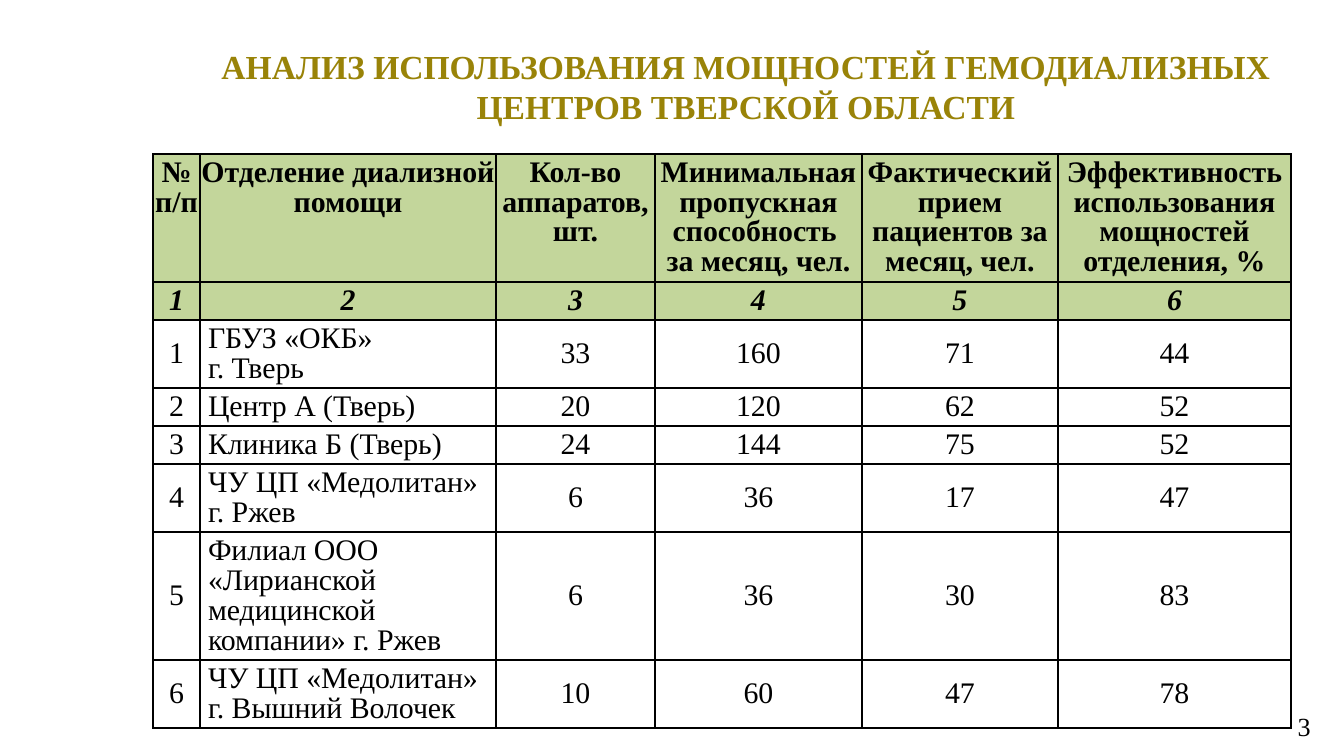
from lxml.etree import SubElement
from pptx import Presentation
from pptx.dml.color import RGBColor
from pptx.enum.text import MSO_ANCHOR as Anchor, MSO_AUTO_SIZE as AutoSize, PP_ALIGN as Align
from pptx.oxml.ns import qn
from pptx.util import Pt

SCALE = 914400 / 134.4


def px(value):
    return round(value * SCALE)


def write(frame, text, align, size, color="000000", spacing=None, **font_format):
    values = {"name": "Times New Roman", "size": Pt(size), "bold": False, "italic": False} | font_format
    frame.text = text
    for paragraph in frame.paragraphs:
        paragraph.alignment = align
        paragraph.line_spacing = spacing
        for run in paragraph.runs:
            run.font.color.rgb = RGBColor.from_string(color)
            for name, value in values.items():
                setattr(run.font, name, value)


presentation = Presentation()
presentation.slide_width, presentation.slide_height = px(1344), px(756)
slide = presentation.slides.add_slide(presentation.slide_layouts[6])

title = "АНАЛИЗ ИСПОЛЬЗОВАНИЯ МОЩНОСТЕЙ ГЕМОДИАЛИЗНЫХ ЦЕНТРОВ ТВЕРСКОЙ ОБЛАСТИ"
text_boxes = [
    ((1011, 706, 313, 40), "3", Align.RIGHT, 14, "000000", False, Anchor.MIDDLE, AutoSize.NONE),
    ((148, 39, 1196, 95), title, Align.CENTER, 18, "998308", True, Anchor.TOP, AutoSize.SHAPE_TO_FIT_TEXT),
]
for box, text, align, size, color, bold, anchor, auto_size in text_boxes:
    frame = slide.shapes.add_textbox(*map(px, box)).text_frame
    frame.word_wrap = True
    frame.auto_size = auto_size
    frame.vertical_anchor = anchor
    write(frame, text, align, size, color, bold=bold)

rows = [
    ["№ п/п", "Отделение диализной помощи", "Кол-во аппаратов, шт.",
     "Минимальная пропускная способность \vза месяц, чел.",
     "Фактический прием пациентов за месяц, чел.",
     "Эффективность использования мощностей отделения, %"],
    ["1", "2", "3", "4", "5", "6"],
    ["1", "ГБУЗ «ОКБ» \nг. Тверь", "33", "160", "71", "44"],
    ["2", "Центр А (Тверь)", "20", "120", "62", "52"],
    ["3", "Клиника Б (Тверь)", "24", "144", "75", "52"],
    ["4", "ЧУ ЦП «Медолитан» \nг. Ржев", "6", "36", "17", "47"],
    ["5", "Филиал ООО «Лирианской медицинской компании» г. Ржев", "6", "36", "30", "83"],
    ["6", "ЧУ ЦП «Медолитан» \nг. Вышний Волочек", "10", "60", "47", "78"],
]
column_widths = [47, 296, 159, 207, 196, 233]
row_heights = [30 * lines + 8 for lines in (4, 1, 2, 1, 1, 2, 4, 2)]

table = slide.shapes.add_table(
    len(rows), len(column_widths), px(153), px(154),
    px(sum(column_widths)), px(sum(row_heights))).table
table.first_row = table.horz_banding = False
for column, width in zip(table.columns, column_widths):
    column.width = px(width)
for row, height in zip(table.rows, row_heights):
    row.height = px(height)

for row_index, row in enumerate(rows):
    header = row_index < 2
    for column_index, text in enumerate(row):
        cell = table.cell(row_index, column_index)
        department = column_index == 1 and not header
        side = px(8 if department else 0)
        cell_format = {
            "margin_left": side, "margin_right": side, "margin_top": px(5), "margin_bottom": px(3),
            "vertical_anchor": Anchor.TOP if header else Anchor.MIDDLE,
        }
        for name, value in cell_format.items():
            setattr(cell, name, value)
        align = Align.CENTER
        if department:
            align = Align.LEFT if row_index == 6 else Align.JUSTIFY
        write(cell.text_frame, text, align, 16, spacing=Pt(16), bold=header, italic=row_index == 1)
        properties = cell._tc.get_or_add_tcPr()
        for edge in ("a:lnL", "a:lnR", "a:lnT", "a:lnB"):
            line = SubElement(properties, qn(edge), w=str(Pt(1)))
            SubElement(SubElement(line, qn("a:solidFill")), qn("a:srgbClr"), val="000000")
        if header:
            cell.fill.solid()
            cell.fill.fore_color.rgb = RGBColor.from_string("C3D69B")
        else:
            cell.fill.background()

presentation.save("out.pptx")
